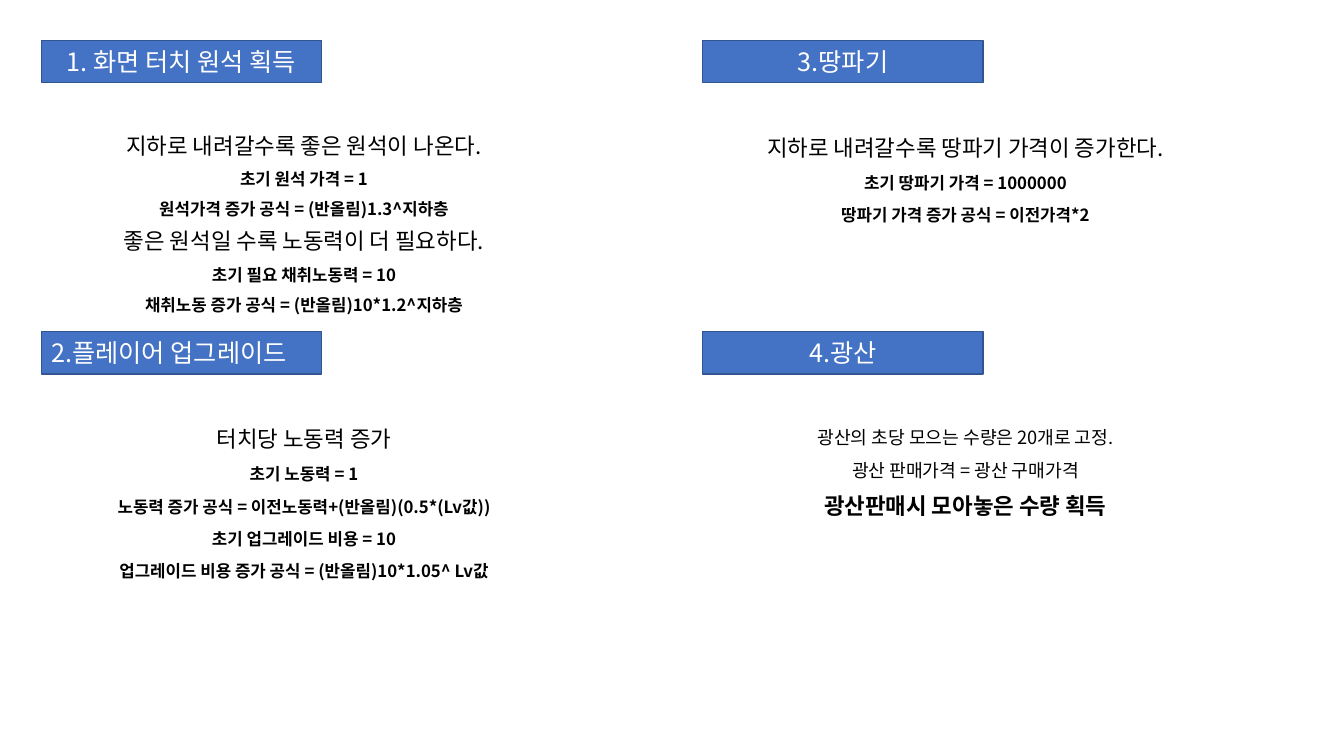
from lxml import etree
from pptx import Presentation
from pptx.dml.color import RGBColor
from pptx.enum.shapes import MSO_SHAPE
from pptx.enum.text import MSO_ANCHOR, PP_ALIGN
from pptx.oxml.ns import qn
from pptx.util import Inches, Pt

RECTANGLE = MSO_SHAPE.RECTANGLE
TOP, MIDDLE = MSO_ANCHOR.TOP, MSO_ANCHOR.MIDDLE
LEFT, CENTER = PP_ALIGN.LEFT, PP_ALIGN.CENTER

BLUE = RGBColor(0x44, 0x72, 0xC4)
DARK_BLUE = RGBColor(0x32, 0x54, 0x91)
WHITE = RGBColor(0xFF, 0xFF, 0xFF)
BLACK = RGBColor(0x00, 0x00, 0x00)
FONT = "Noto Sans CJK KR"

# Two by two grid of sections, in inches
GRID_LEFT, GRID_TOP = 0.41, 0.4
COLUMN_STEP, ROW_STEP = 6.56, 2.89
HEADING_WIDTH, HEADING_HEIGHT = 2.78, 0.42
BODY_OFFSET, BODY_WIDTH, BODY_HEIGHT = 0.91, 5.21, 1.96

# Text styles
HEADING = {"size": Pt(18), "bold": False}
STATEMENT = {"size": Pt(16), "bold": False}
FORMULA = {"size": Pt(12), "bold": True}
NOTE = {"size": Pt(13), "bold": False}
EMPHASIS = {"size": Pt(16), "bold": True}

# Sections: column, row, heading, heading alignment, line spacing, body lines
SECTIONS = [
    (0, 0, "1. 화면 터치 원석 획득", CENTER, 0.8, [
        ("지하로 내려갈수록 좋은 원석이 나온다.", STATEMENT),
        ("초기 원석 가격 = 1", FORMULA),
        ("원석가격 증가 공식 = (반올림)1.3^지하층", FORMULA),
        ("좋은 원석일 수록 노동력이 더 필요하다.", STATEMENT),
        ("초기 필요 채취노동력 = 10", FORMULA),
        ("채취노동 증가 공식 = (반올림)10*1.2^지하층", FORMULA),
    ]),
    (0, 1, "2.플레이어 업그레이드", LEFT, 0.9, [
        ("터치당 노동력 증가", STATEMENT),
        ("초기 노동력 = 1", FORMULA),
        ("노동력 증가 공식 = 이전노동력+(반올림)(0.5*(Lv값))", FORMULA),
        ("초기 업그레이드 비용 = 10", FORMULA),
        ("업그레이드 비용 증가 공식 = (반올림)10*1.05^ Lv값", FORMULA),
    ]),
    (1, 0, "3.땅파기", CENTER, 0.9, [
        ("지하로 내려갈수록 땅파기 가격이 증가한다.", STATEMENT),
        ("초기 땅파기 가격 = 1000000", FORMULA),
        ("땅파기 가격 증가 공식 = 이전가격*2", FORMULA),
    ]),
    (1, 1, "4.광산", CENTER, 0.9, [
        ("광산의 초당 모으는 수량은 20개로 고정.", NOTE),
        ("광산 판매가격 = 광산 구매가격", NOTE),
        ("광산판매시 모아놓은 수량 획득", EMPHASIS),
    ]),
]


def write_line(paragraph, text, style, color, paragraph_format):
    for name, value in paragraph_format.items():
        setattr(paragraph, name, value)
    run = paragraph.add_run()
    run.text = text
    for name, value in {"name": FONT, **style}.items():
        setattr(run.font, name, value)
    run.font.color.rgb = color
    # Hangul takes the East Asian typeface
    etree.SubElement(run.font._element, qn("a:ea"), typeface=FONT)


def add_heading(slide, left, top, text, alignment):
    shape = slide.shapes.add_shape(
        RECTANGLE, Inches(left), Inches(top),
        Inches(HEADING_WIDTH), Inches(HEADING_HEIGHT))
    shape.shadow.inherit = False
    shape.fill.solid()
    shape.fill.fore_color.rgb = BLUE
    shape.line.color.rgb = DARK_BLUE
    shape.line.width = Pt(1)
    frame = shape.text_frame
    frame.word_wrap = True
    frame.vertical_anchor = MIDDLE
    write_line(frame.paragraphs[0], text, HEADING, WHITE, {"alignment": alignment})


def add_body(slide, left, top, lines, line_spacing):
    box = slide.shapes.add_textbox(
        Inches(left), Inches(top), Inches(BODY_WIDTH), Inches(BODY_HEIGHT))
    frame = box.text_frame
    frame.word_wrap = True
    frame.vertical_anchor = TOP
    paragraph_format = {"alignment": CENTER, "line_spacing": line_spacing,
                        "space_before": Pt(10)}
    for index, (text, style) in enumerate(lines):
        paragraph = frame.add_paragraph() if index else frame.paragraphs[0]
        write_line(paragraph, text, style, BLACK, paragraph_format)


def add_section(slide, column, row, heading, alignment, line_spacing, lines):
    left = GRID_LEFT + column * COLUMN_STEP
    top = GRID_TOP + row * ROW_STEP
    add_heading(slide, left, top, heading, alignment)
    add_body(slide, left, top + BODY_OFFSET, lines, line_spacing)


def main():
    presentation = Presentation()
    presentation.slide_width = Inches(13.33)
    presentation.slide_height = Inches(7.5)
    slide = presentation.slides.add_slide(presentation.slide_layouts[6])
    for section in SECTIONS:
        add_section(slide, *section)
    presentation.save("out.pptx")


if __name__ == "__main__":
    main()
